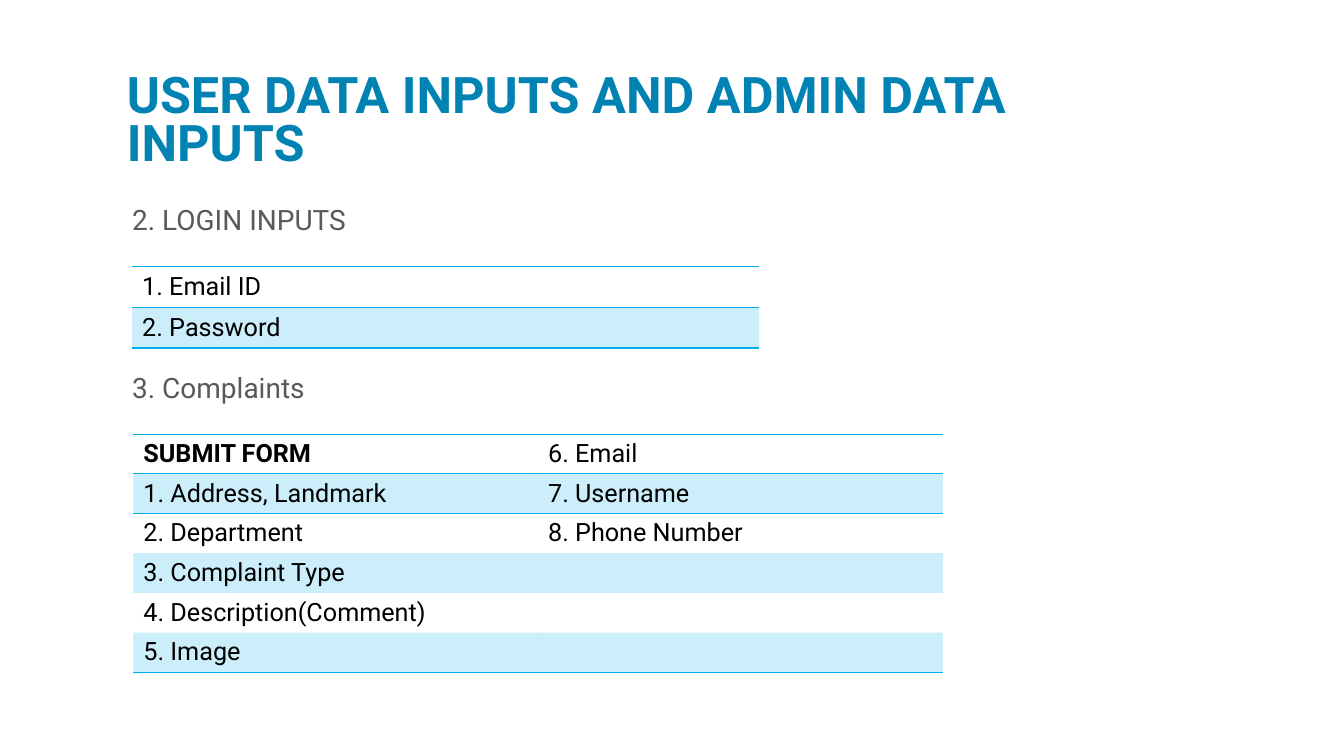
from lxml.etree import SubElement
from pptx import Presentation
from pptx.dml.color import RGBColor
from pptx.enum.text import MSO_ANCHOR
from pptx.oxml import parse_xml
from pptx.oxml.ns import nsdecls, qn
from pptx.util import Cm, Pt

ACCENT = "00AEEF"
PLAIN_TABLE_STYLE = "{2D5ABB26-0587-4C30-8999-92F81FD0307C}"
TITLE = {"size": Pt(36), "bold": True, "name": "Roboto"}
HEADING = {"size": Pt(20), "bold": False, "name": "Roboto"}
ENTRY = {"size": Pt(18), "bold": False, "name": "Roboto"}
LOGIN_ROWS = [["1. Email ID"], ["2. Password"]]
COMPLAINT_ROWS = [
    ["SUBMIT FORM", "6. Email"],
    ["1. Address, Landmark", "7. Username"],
    ["2. Department", "8. Phone Number"],
    ["3. Complaint Type", ""],
    ["4. Description(Comment)", ""],
    ["5. Image", ""],
]


def colour(value):
    """Turn a hex string into a colour."""
    return RGBColor.from_string(value)


def write(para, text, style, ink):
    """Add one formatted span to a paragraph."""
    span = para.add_run()
    span.text = text
    for name, value in style.items():
        setattr(span.font, name, value)
    span.font.color.rgb = colour(ink)


def add_text(page, box, lines, style, ink, anchor, spacing, gap):
    """Place paragraphs in a wrapped text box, parted by a gap."""
    frame = page.shapes.add_textbox(*map(Cm, box)).text_frame
    frame.word_wrap = True
    frame.vertical_anchor = anchor
    for index, line in enumerate(lines):
        para = frame.add_paragraph() if index else frame.paragraphs[0]
        para.line_spacing = spacing
        para.space_before = Pt(gap if index else 0)
        write(para, line, style, ink)


def rule_cell(cell, sides):
    """Draw thin accent rules on the given sides of a cell."""
    properties = cell._tc.get_or_add_tcPr()
    for position, side in enumerate(sides):
        properties.insert(position, parse_xml(
            f'<a:ln{side} {nsdecls("a")} w="12700"><a:solidFill>'
            f'<a:srgbClr val="{ACCENT}"/></a:solidFill></a:ln{side}>'))


def tint_cell(cell):
    """Fill a cell with the accent colour at 20% opacity."""
    cell.fill.solid()
    cell.fill.fore_color.rgb = colour(ACCENT)
    shade = cell._tc.tcPr.find(f"{qn('a:solidFill')}/{qn('a:srgbClr')}")
    SubElement(shade, qn("a:alpha"), val="20000")


def add_input_table(page, box, rows):
    """Place a banded table ruled around its first row and at its foot."""
    holder = page.shapes.add_table(len(rows), len(rows[0]), *map(Cm, box))
    next(holder.element.iter(qn("a:tableStyleId"))).text = PLAIN_TABLE_STYLE
    for r, row in enumerate(rows):
        for c, text in enumerate(row):
            cell = holder.table.cell(r, c)
            cell.vertical_anchor = MSO_ANCHOR.MIDDLE
            cell.margin_top = cell.margin_bottom = Cm(0.08)
            if text:
                style = {**ENTRY, "bold": text == "SUBMIT FORM"}
                write(cell.text_frame.paragraphs[0], text, style, "000000")
            if r % 2:
                tint_cell(cell)
            else:
                cell.fill.background()
            if r == 0:
                rule_cell(cell, "TB")
            elif r == 1:
                rule_cell(cell, "TB" if len(rows) == 2 else "T")
            elif r == len(rows) - 1:
                rule_cell(cell, "B")


def build_inputs_slide(page, left, top):
    """Lay out the title, headings and tables from a top left corner."""
    add_text(page, (left, top, 25.37, 2.97),
             ["USER DATA INPUTS AND ADMIN DATA INPUTS"],
             TITLE, "0083B3", MSO_ANCHOR.BOTTOM, 0.8, 0)
    add_text(page, (left + 0.13, top + 3.61, 24, 11.63),
             ["2. LOGIN INPUTS", "3. Complaints"],
             HEADING, "595959", MSO_ANCHOR.TOP, 0.9, 98)
    add_input_table(page, (left + 0.38, top + 5.24, 15.8, 2.06), LOGIN_ROWS)
    add_input_table(page, (left + 0.41, top + 9.47, 20.4, 6), COMPLAINT_ROWS)


def main():
    """Build and save the deck."""
    deck = Presentation()
    deck.slide_width, deck.slide_height = Cm(33.87), Cm(19.05)
    page = deck.slides.add_slide(deck.slide_layouts[6])
    build_inputs_slide(page, 2.95, 1.47)
    deck.save("out.pptx")


if __name__ == "__main__":
    main()
